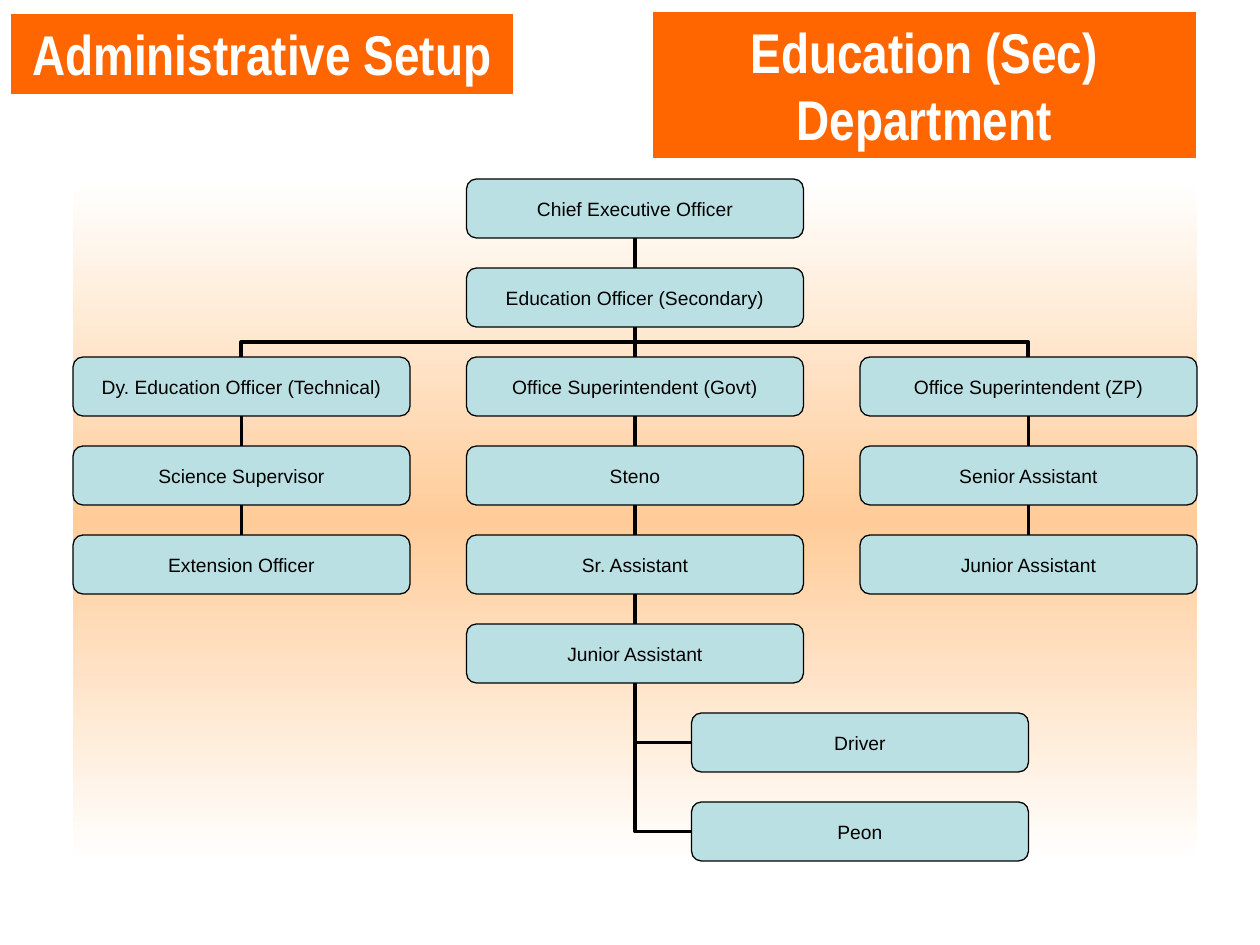
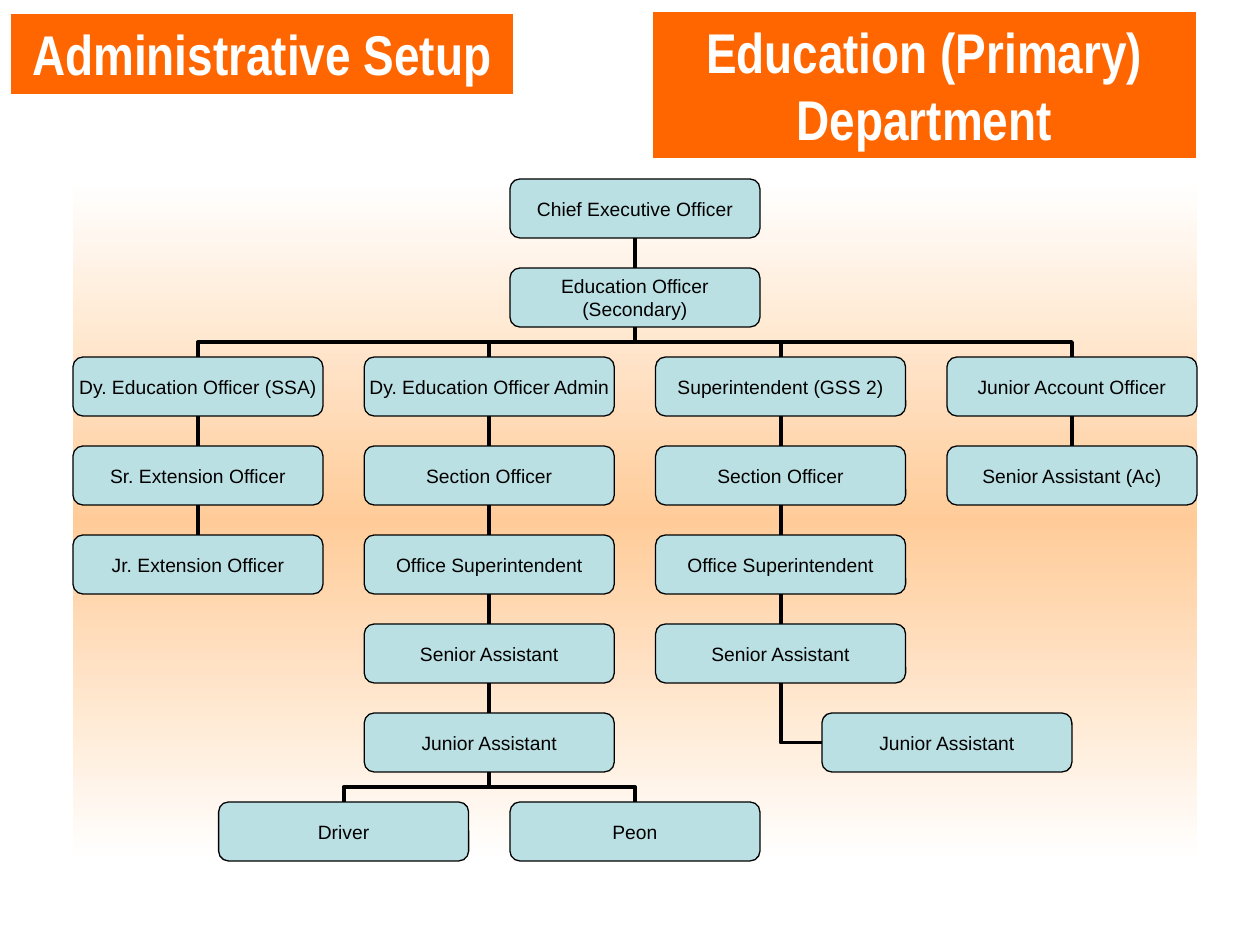
from copy import deepcopy
from dataclasses import dataclass

from pptx import Presentation
from pptx import slide as sl
from pptx import util as u
from pptx.dml import color
from pptx.enum import shapes, text
from pptx.oxml import ns, xmlchemy
from pptx.shapes import autoshape, base, connector

HUES = {"band": "FF6600", "white": "FFFFFF", "peach": "FFCC99",
        "box": "BBE0E3", "black": "000000"}
SCALE = 914400 / 126  # EMU in one px

# Chart area and row grid, in px
LEFT, TOP, WIDE, HIGH = 73, 179, 1124, 683
ROW, BOX = 89, 59

BAND = {"size": u.Pt(32), "name": "Arial Narrow", "bold": True}
LABEL = {"size": u.Pt(11), "name": "Arial", "bold": False}


@dataclass(frozen=True)
class Post:
    name: str
    col: float
    kids: tuple["Post", ...] = ()
    hang: bool = False  # kids hang to the right, one below the other


@dataclass(frozen=True)
class Chart:
    title: str
    cols: int
    width: int
    root: Post

    @property
    def step(self) -> float:
        return (WIDE - self.width) / (self.cols - 1)


def px(size: float) -> u.Emu:
    return u.Emu(round(size * SCALE))


def rgb(hue: str) -> color.RGBColor:
    return color.RGBColor.from_string(HUES[hue])


def chain(col: float, *names: str, kids: tuple[Post, ...] = (), hang: bool = False) -> Post:
    """Stack posts in one column; the last one gets the kids."""
    post = Post(names[-1], col, kids, hang)
    for name in reversed(names[:-1]):
        post = Post(name, col, (post,))
    return post


def place(item: base.BaseShape, *spot: float) -> None:
    for key, size in zip(("left", "top", "width", "height"), spot):
        setattr(item, key, px(size))


def paint(item: autoshape.Shape, fill: str, edge: str, weight: float) -> None:
    item.fill.solid()
    item.fill.fore_color.rgb = rgb(fill)
    item.line.color.rgb = rgb(edge)
    item.line.width = u.Pt(weight)


def write(item: autoshape.Shape, words: str, font: dict, hue: str,
          anchor: text.MSO_ANCHOR, pad: tuple[float, float]) -> None:
    frame = item.text_frame
    frame.text = words
    side, end = map(u.Inches, pad)
    look = {"word_wrap": True, "auto_size": text.MSO_AUTO_SIZE.NONE,
            "vertical_anchor": anchor, "margin_left": side, "margin_right": side,
            "margin_top": end, "margin_bottom": end}
    for key, value in look.items():
        setattr(frame, key, value)
    line = frame.paragraphs[0]
    line.alignment = text.PP_ALIGN.CENTER
    for key, value in font.items():
        setattr(line.runs[0].font, key, value)
    line.runs[0].font.color.rgb = rgb(hue)


def shape(page: sl.Slide, kind: shapes.MSO_SHAPE, *spot: float) -> autoshape.Shape:
    item = page.shapes.add_shape(kind, *map(px, spot))
    item.shadow.inherit = False
    return item


def band(item: autoshape.Shape, words: str) -> None:
    paint(item, "band", "white", 1)
    write(item, words, BAND, "white", text.MSO_ANCHOR.TOP, (0.1, 0.05))


def glow(page: sl.Slide) -> None:
    """Backdrop that fades from white to peach and back."""
    item = shape(page, shapes.MSO_SHAPE.RECTANGLE, LEFT, TOP, WIDE, HIGH)
    item.line.fill.background()
    item.fill.gradient()
    item.fill.gradient_angle = 270
    stops = item._element.spPr.find(".//" + ns.qn("a:gsLst"))
    stops.append(deepcopy(stops[0]))
    for stop, spot, hue in zip(item.fill.gradient_stops, (0, 0.5, 1),
                               ("white", "peach", "white")):
        stop.position = spot
        stop.color.rgb = rgb(hue)


def turn(line: connector.Connector, left: int, top: int, width: int, height: int,
         rot: int, flip: bool, kind: str) -> None:
    """Set the frame of an elbow before its rotation."""
    prop: xmlchemy.BaseOxmlElement = line._element.spPr
    form = prop.find(ns.qn("a:xfrm"))
    for key in ("flipH", "flipV"):
        form.attrib.pop(key, None)
    form.set("rot", str(rot * 60000))
    if flip:
        form.set("flipH", "1")
    for key, value in {"left": left, "top": top, "width": width, "height": height}.items():
        setattr(line, key, u.Emu(value))
    prop.find(ns.qn("a:prstGeom")).set("prst", kind)


def link(page: sl.Slide, kid: autoshape.Shape, boss: autoshape.Shape, hang: bool) -> None:
    """Join a post to the one above it."""
    x0, y0 = boss.left + boss.width // 2, boss.top + boss.height
    x1, y1 = kid.left + kid.width // 2, kid.top
    if hang:
        x1, y1 = kid.left, kid.top + kid.height // 2
    kind = shapes.MSO_CONNECTOR.STRAIGHT if x0 == x1 else shapes.MSO_CONNECTOR.ELBOW
    line = page.shapes.add_connector(kind, x1, y1, x0, y0)
    line.begin_connect(kid, 1 if hang else 0)
    line.end_connect(boss, 2)
    wide, high = abs(x1 - x0), y1 - y0
    if hang:
        turn(line, x0, y0, wide, high, 180, False, "bentConnector2")
    elif wide:
        right = x1 > x0
        turn(line, (x0 + x1 - high) // 2, (y0 + y1 - wide) // 2, high, wide,
             90 if right else 270, right, "bentConnector3")
    line.line.color.rgb = rgb("black")
    line.line.width = u.Pt(2.25)
    line._element.spPr.append(xmlchemy.OxmlElement("a:effectLst"))


def grow(page: sl.Slide, chart: Chart, post: Post, left: float, row: int) -> autoshape.Shape:
    """Draw a post, then all the posts below it."""
    box = shape(page, shapes.MSO_SHAPE.ROUNDED_RECTANGLE,
                left, TOP + row * ROW, chart.width, BOX)
    paint(box, "box", "black", 0.75)
    write(box, post.name, LABEL, "black", text.MSO_ANCHOR.MIDDLE, (0, 0))
    for rank, kid in enumerate(post.kids):
        spot, level = LEFT + kid.col * chart.step, row + 1
        if post.hang:
            spot = left + chart.step - chart.width / 2
            level += rank
        link(page, grow(page, chart, kid, spot, level), box, post.hang)
    return box


CHARTS = (
    Chart("Education (Sec) Department", 3, 337, chain(
        1, "Chief Executive Officer", "Education Officer (Secondary)", kids=(
            chain(0, "Dy. Education Officer (Technical)", "Science Supervisor",
                  "Extension Officer"),
            chain(1, "Office Superintendent (Govt)", "Steno", "Sr. Assistant",
                  "Junior Assistant", kids=(Post("Driver", 1), Post("Peon", 1)), hang=True),
            chain(2, "Office Superintendent (ZP)", "Senior Assistant", "Junior Assistant"),
        ))),
    Chart("Education (Primary) Department", 4, 250, chain(
        1.5, "Chief Executive Officer", "Education Officer (Secondary)", kids=(
            chain(0, "Dy. Education Officer (SSA)", "Sr. Extension Officer",
                  "Jr. Extension Officer"),
            chain(1, "Dy. Education Officer Admin", "Section Officer",
                  "Office Superintendent", "Senior Assistant", "Junior Assistant",
                  kids=(Post("Driver", 0.5), Post("Peon", 1.5))),
            chain(2, "Superintendent (GSS 2)", "Section Officer", "Office Superintendent",
                  "Senior Assistant", kids=(Post("Junior Assistant", 2),), hang=True),
            chain(3, "Junior Account Officer", "Senior Assistant (Ac)"),
        ))),
)


def main() -> None:
    deck = Presentation()
    deck.slide_width, deck.slide_height = px(1260), px(945)
    for chart in CHARTS:
        page = deck.slides.add_slide(deck.slide_layouts[5])
        # Heading bands
        place(page.shapes.title, 652, 11, 545, 148)
        band(page.shapes.title, chart.title)
        band(shape(page, shapes.MSO_SHAPE.RECTANGLE, 10, 13, 504, 82), "Administrative Setup")
        # Organisation chart
        glow(page)
        grow(page, chart, chart.root, LEFT + chart.root.col * chart.step, 0)
    deck.save("out.pptx")


if __name__ == "__main__":
    main()
